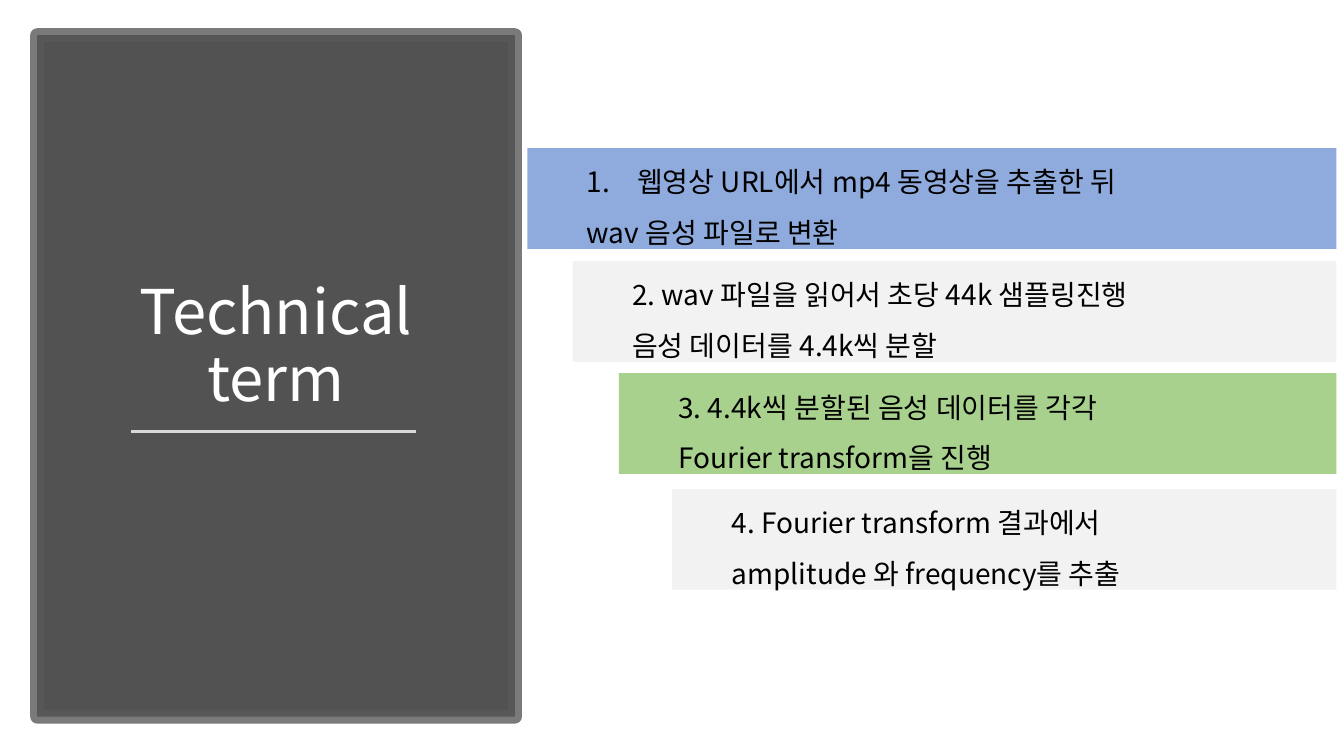
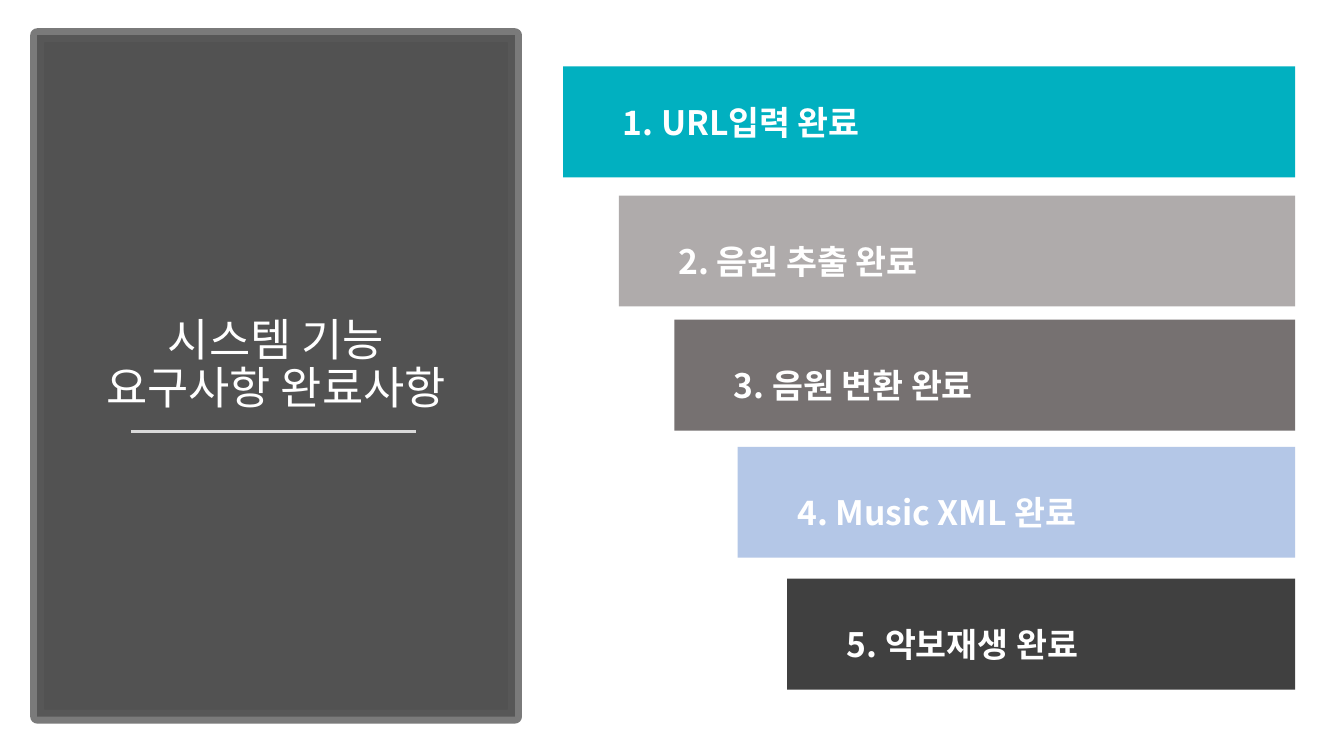
from dataclasses import dataclass

from lxml.etree import SubElement
from pptx import Presentation
from pptx.dml.color import RGBColor
from pptx.enum.shapes import MSO_CONNECTOR, MSO_SHAPE
from pptx.enum.text import MSO_ANCHOR, PP_ALIGN
from pptx.oxml.ns import qn
from pptx.util import Pt

FONT = "Noto Sans CJK KR"
WIDTH, HEIGHT = 960, 540
COLORS = {
    "backdrop": "454545",
    "white": "FFFFFF",
    "black": "000000",
    "charcoal": "404040",
    "frame": "595959",
    "rule": "D9D9D9",
    "blue": "8FAADC",
    "pale": "F2F2F2",
    "green": "A9D18E",
    "teal": "01B0C0",
    "silver": "AFABAB",
    "gray": "767171",
    "sky": "B4C7E7",
}


@dataclass(frozen=True)
class Bar:
    left: float
    top: float
    color: str
    lines: tuple[str, ...]
    spacing: float = 1.5
    numbered: bool = False


@dataclass(frozen=True)
class Page:
    title: str
    title_size: float
    bar_right: float
    bar_height: float
    text_size: float
    text_color: str
    bold: bool
    bars: tuple[Bar, ...]


PAGES = (
    Page("Technical term", 44, 954.6, 72, 20, "black", False, (
        Bar(376.6, 105.8, "blue",
            ("웹영상 URL에서 mp4 동영상을 추출한 뒤", "wav 음성 파일로 변환"),
            numbered=True),
        Bar(409, 186.5, "pale",
            ("2. wav 파일을 읽어서 초당 44k 샘플링진행", "음성 데이터를 4.4k씩 분할")),
        Bar(442.1, 266.6, "green",
            ("3. 4.4k씩 분할된 음성 데이터를 각각", "Fourier transform을 진행")),
        Bar(480.2, 349.2, "pale",
            ("4. Fourier transform 결과에서", "amplitude 와 frequency를 추출")),
    )),
    Page("시스템 기능 요구사항 완료사항", 32, 925.2, 79.2, 24, "white", True, (
        Bar(402.3, 47.5, "teal", ("1. URL입력 완료",), spacing=1),
        Bar(442.1, 139.7, "silver", ("2. 음원 추출 완료",)),
        Bar(481.7, 228.4, "gray", ("3. 음원 변환 완료",)),
        Bar(527, 319.2, "sky", ("4. Music XML 완료",)),
        Bar(562.3, 413.4, "charcoal", ("5. 악보재생 완료",)),
    )),
)


def rgb(name: str) -> RGBColor:
    return RGBColor.from_string(COLORS[name])


def set_opacity(sp, tag: str, percent: int) -> None:
    """Set the opacity of the solid fill found at tag within the shape."""
    color = sp._element.spPr.find(f"{tag}/{qn('a:srgbClr')}")
    SubElement(color, qn("a:alpha"), val=str(percent * 1000))


def add_rect(shapes, left: float, top: float, width: float, height: float, color: str):
    sp = shapes.add_shape(MSO_SHAPE.RECTANGLE, Pt(left), Pt(top), Pt(width), Pt(height))
    sp.shadow.inherit = False
    sp.fill.solid()
    sp.fill.fore_color.rgb = rgb(color)
    sp.line.fill.background()
    return sp


def add_run(p, text: str, size: float, color: str, bold: bool = False) -> None:
    r = p.add_run()
    r.text = text
    r.font.size = Pt(size)
    r.font.bold = bold
    r.font.color.rgb = rgb(color)
    r.font.name = FONT
    SubElement(r._r.get_or_add_rPr(), qn("a:ea"), typeface=FONT)


def number_paragraph(p) -> None:
    pPr = p._p.get_or_add_pPr()
    pPr.set("marL", str(Pt(36)))
    pPr.set("indent", str(-Pt(36)))
    SubElement(pPr, qn("a:buFont"), typeface="+mj-lt")
    SubElement(pPr, qn("a:buAutoNum"), type="arabicPeriod")


def add_title_panel(s, title: str, size: float) -> None:
    panel = add_rect(s.shapes, 26.6, 25.2, 341.3, 486.7, "charcoal")
    panel.line.color.rgb = rgb("frame")
    panel.line.width = Pt(10)
    set_opacity(panel, qn("a:solidFill"), 90)
    set_opacity(panel, f"{qn('a:ln')}/{qn('a:solidFill')}", 80)

    rule = s.shapes.add_connector(
        MSO_CONNECTOR.STRAIGHT, Pt(93.6), Pt(308.2), Pt(297.4), Pt(308.2))
    rule.line.color.rgb = rgb("rule")
    rule.line.width = Pt(1.75)
    SubElement(rule._element.spPr, qn("a:effectLst"))

    tf = s.shapes.add_textbox(Pt(53.3), Pt(72), Pt(288), Pt(227.5)).text_frame
    tf.word_wrap = True
    tf.vertical_anchor = MSO_ANCHOR.BOTTOM
    p = tf.paragraphs[0]
    p.alignment = PP_ALIGN.CENTER
    p.line_spacing = 0.9
    add_run(p, title, size, "white")


def add_bar(shapes, bar: Bar, page: Page) -> None:
    sp = add_rect(shapes, bar.left, bar.top, page.bar_right - bar.left,
                  page.bar_height, bar.color)
    tf = sp.text_frame
    tf.word_wrap = True
    tf.vertical_anchor = MSO_ANCHOR.MIDDLE
    tf.margin_left = Pt(42.5)
    tf.margin_right = Pt(5.8)
    tf.margin_top = tf.margin_bottom = Pt(3.6)
    for i, line in enumerate(bar.lines):
        p = tf.add_paragraph() if i else tf.paragraphs[0]
        p.alignment = PP_ALIGN.LEFT
        p.line_spacing = bar.spacing
        if bar.numbered and i == 0:
            number_paragraph(p)
        add_run(p, line, page.text_size, page.text_color, page.bold)


def add_page(prs, page: Page) -> None:
    s = prs.slides.add_slide(prs.slide_layouts[6])
    s.background.fill.solid()
    s.background.fill.fore_color.rgb = rgb("backdrop")
    add_rect(s.shapes, 0, 0, WIDTH, HEIGHT, "white")
    add_title_panel(s, page.title, page.title_size)
    group = s.shapes.add_group_shape()
    for bar in page.bars:
        add_bar(group.shapes, bar, page)


def main() -> None:
    prs = Presentation()
    prs.slide_width, prs.slide_height = Pt(WIDTH), Pt(HEIGHT)
    for page in PAGES:
        add_page(prs, page)
    prs.save("out.pptx")


if __name__ == "__main__":
    main()
